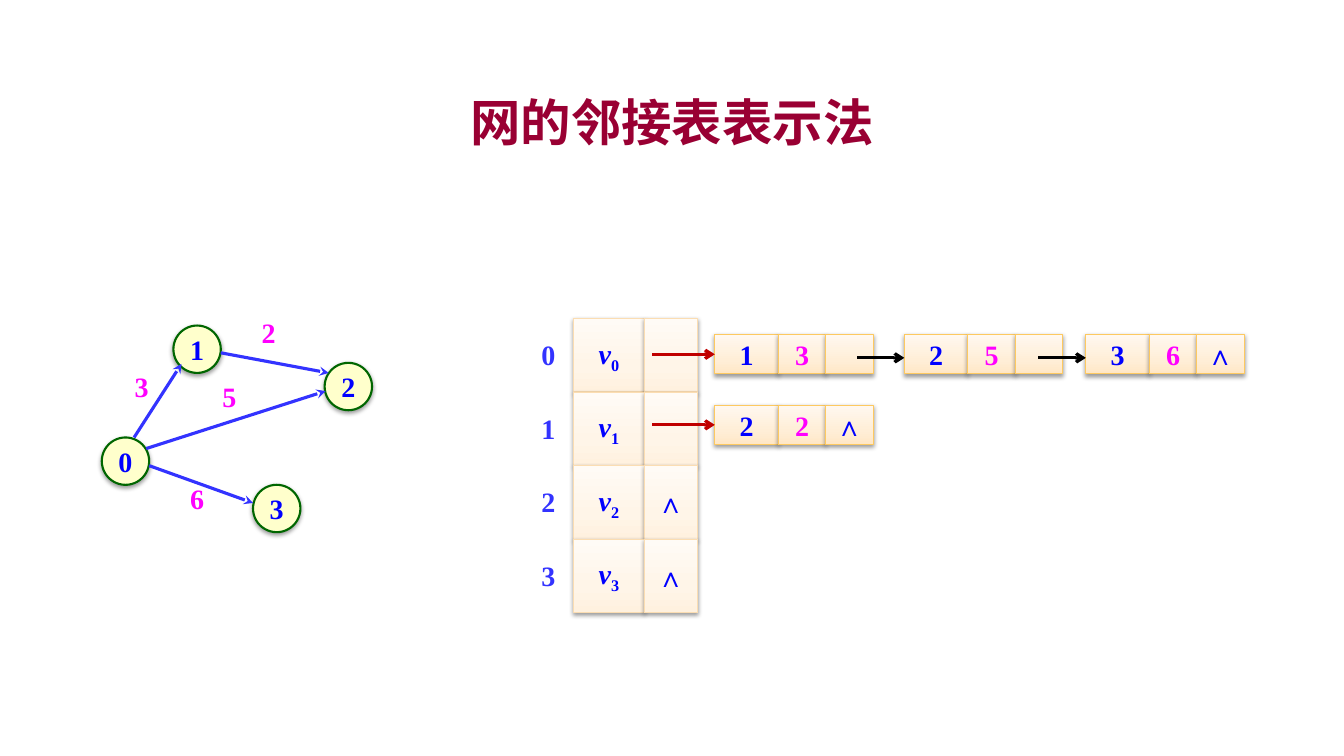
import lxml.etree
import pptx
import pptx.dml.color
import pptx.enum.shapes
import pptx.enum.text
import pptx.oxml
import pptx.oxml.ns
import pptx.util

SLIDE_SIZE = (13.33, 7.5)
TITLE = "网的邻接表表示法"
TITLE_BOX = (1, 0.92, 11.33, 0.91)
TITLE_FONT, BODY_FONT = "Noto Sans CJK SC", "Times New Roman"
NIL = "∧"

# Graph: node corners, then edges as (start, end, weight, weight corner)
NODES = {"1": (1.72, 3.23), "2": (3.22, 3.6), "0": (1.01, 4.34), "3": (2.51, 4.81)}
EDGES = [
    ((1.33, 4.34), (1.8, 3.61), "3", (1.17, 3.67)),
    ((1.48, 4.62), (2.51, 4.99), "6", (1.72, 4.78)),
    ((1.45, 4.45), (3.23, 3.88), "5", (2.04, 3.76)),
    ((2.19, 3.5), (3.26, 3.7), "2", (2.43, 3.13)),
]
NODE_SIZE = 0.47

# Adjacency list: each vertex with its chain of (neighbour, weight)
ADJACENCY = [
    ("0", [("1", "3"), ("2", "5"), ("3", "6")]),
    ("1", [("2", "2")]),
    ("2", []),
    ("3", []),
]
INDEX_LEFT, INDEX_WIDTH, INDEX_DROP = 5.22, 0.44, 0.19
HEAD_LEFT, HEAD_TOP, HEAD_ROW = 5.69, 3.16, 0.73
HEAD_COLUMNS = (0.7, 0.53)
CHAIN_LEFTS = (7.09, 8.97, 10.77)
CHAIN_TOP, CHAIN_ROW, CHAIN_HEIGHT = 3.32, 0.7, 0.39
CHAIN_COLUMNS = (0.63, 0.47, 0.47)
HEAD_ARROW_LEFT, LINK_LENGTH, LINK_DROP = 6.47, 0.47, 0.23

BLUE, INDIGO, MAGENTA = "0000FF", "3333FF", "FF00FF"
HEAD_STYLE = (("FFF1DF", "FFF5E8", "FFFBF6"), "FBDDB2", 0.75)
CHAIN_STYLE = (("FFE7C6", "FFEED7", "FFF8F0"), "FDC960", 0.75)
NODE_STYLE = (("FFFFCC",), "006600", 1.5)
GRADIENT_STOPS = (0, 0.35, 1)

RECTANGLE = pptx.enum.shapes.MSO_SHAPE.RECTANGLE
OVAL = pptx.enum.shapes.MSO_SHAPE.OVAL
qn = pptx.oxml.ns.qn


def rgb(color):
    return pptx.dml.color.RGBColor.from_string(color)


def inches(values):
    return [pptx.util.Inches(value) for value in values]


def write(frame, runs, color, font=BODY_FONT, size=20):
    """Fill the frame with one centred line; runs are (text, italic, baseline)."""
    paragraph = frame.paragraphs[0]
    paragraph.alignment = pptx.enum.text.PP_ALIGN.CENTER
    for text, italic, baseline in runs:
        run = paragraph.add_run()
        run.text = text
        formats = {"name": font, "size": pptx.util.Pt(size), "bold": True, "italic": italic}
        for key, value in formats.items():
            setattr(run.font, key, value)
        run.font.color.rgb = rgb(color)
        if baseline:
            run.font._element.set("baseline", str(baseline))
    return paragraph


def plain(text):
    return [(text, False, 0)]


def add_label(slide, box, text, color):
    frame = slide.shapes.add_textbox(*inches(box)).text_frame
    margins = ("margin_left", "margin_top", "margin_right", "margin_bottom")
    for key, value in {**dict.fromkeys(margins, 0), "word_wrap": True}.items():
        setattr(frame, key, value)
    write(frame, plain(text), color)


def paint(fill, colors):
    if len(colors) == 1:
        fill.solid()
        fill.fore_color.rgb = rgb(colors[0])
        return
    fill.gradient()
    fill.gradient_angle = 90
    stop_list = fill._fill._gradFill.find(qn("a:gsLst"))
    lxml.etree.SubElement(stop_list, qn("a:gs"), pos="100000").append(
        pptx.oxml.parse_xml(f'<a:srgbClr {pptx.oxml.ns.nsdecls("a")} val="{colors[-1]}"/>'))
    for stop, color, position in zip(fill.gradient_stops, colors, GRADIENT_STOPS):
        stop.color.rgb = rgb(color)
        stop.position = position


def add_cell(slide, kind, box, style, runs, color=BLUE):
    shape = slide.shapes.add_shape(kind, *inches(box))
    colors, outline, weight = style
    paint(shape.fill, colors)
    shape.line.color.rgb = rgb(outline)
    shape.line.width = pptx.util.Pt(weight)
    shape.shadow.inherit = False
    effects = shape._element.spPr.find(qn("a:effectLst"))
    shadow = lxml.etree.SubElement(
        effects, qn("a:outerShdw"), blurRad="40000", dist="20000", dir="5400000", rotWithShape="0")
    black = lxml.etree.SubElement(shadow, qn("a:srgbClr"), val="000000")
    lxml.etree.SubElement(black, qn("a:alpha"), val="38000")
    frame = shape.text_frame
    frame.word_wrap = False
    frame.vertical_anchor = pptx.enum.text.MSO_ANCHOR.MIDDLE
    write(frame, runs, color)
    return shape


def add_arrow(slide, start, end, color, tip):
    arrow = slide.shapes.add_connector(
        pptx.enum.shapes.MSO_CONNECTOR.STRAIGHT, *inches(start + end))
    arrow.line.color.rgb = rgb(color)
    arrow.line.width = pptx.util.Pt(2.25)
    lxml.etree.SubElement(arrow.line._get_or_add_ln(), qn("a:tailEnd"), type=tip)
    lxml.etree.SubElement(arrow._element.spPr, qn("a:effectLst"))
    return arrow


def add_title(slide):
    title = slide.shapes.title
    title.left, title.top, title.width, title.height = inches(TITLE_BOX)
    formats = {
        "word_wrap": True,
        "auto_size": pptx.enum.text.MSO_AUTO_SIZE.NONE,
        "vertical_anchor": pptx.enum.text.MSO_ANCHOR.TOP,
    }
    for key, value in formats.items():
        setattr(title.text_frame, key, value)
    paragraph = write(title.text_frame, plain(TITLE), "990033", TITLE_FONT, 36)
    paragraph.line_spacing = 0.9
    lxml.etree.SubElement(
        paragraph.runs[0].font._element, qn("a:ea"), typeface=TITLE_FONT)


def add_graph(slide):
    for name, corner in NODES.items():
        add_cell(slide, OVAL, corner + (NODE_SIZE, NODE_SIZE), NODE_STYLE, plain(name))
    for start, end, weight, corner in EDGES:
        add_arrow(slide, start, end, INDIGO, "stealth")
        add_label(slide, corner + (NODE_SIZE, 0.39), weight, MAGENTA)


def add_heads(slide):
    for row, (vertex, chain) in enumerate(ADJACENCY):
        top, left = HEAD_TOP + row * HEAD_ROW, HEAD_LEFT
        pointer = plain("" if chain else NIL)
        for width, runs in zip(HEAD_COLUMNS, ([("v", True, 0), (vertex, False, -25000)], pointer)):
            add_cell(slide, RECTANGLE, (left, top, width, HEAD_ROW), HEAD_STYLE, runs)
            left += width
        add_label(slide, (INDEX_LEFT, top + INDEX_DROP, INDEX_WIDTH, 0.35), vertex, INDIGO)


def add_chains(slide):
    for row, (_, chain) in enumerate(ADJACENCY):
        top = CHAIN_TOP + row * CHAIN_ROW
        for place, (neighbour, weight) in enumerate(chain):
            left = node_left = CHAIN_LEFTS[place]
            pointer = NIL if place == len(chain) - 1 else ""
            cells = []
            for width, text, color in zip(
                    CHAIN_COLUMNS, (neighbour, weight, pointer), (BLUE, MAGENTA, BLUE)):
                cells.append(add_cell(slide, RECTANGLE, (left, top, width, CHAIN_HEIGHT),
                                      CHAIN_STYLE, plain(text), color))
                left += width
            if place:
                y = top + LINK_DROP
                add_arrow(slide, (node_left - LINK_LENGTH, y), (node_left, y), "000000", "arrow")
            else:
                y = top + CHAIN_HEIGHT / 2
                arrow = add_arrow(slide, (HEAD_ARROW_LEFT, y), (node_left, y), "C00000", "arrow")
                arrow.end_connect(cells[0], 1)


def main():
    deck = pptx.Presentation()
    deck.slide_width, deck.slide_height = inches(SLIDE_SIZE)
    slide = deck.slides.add_slide(deck.slide_layouts[5])
    add_heads(slide)
    add_graph(slide)
    add_chains(slide)
    add_title(slide)
    deck.save("out.pptx")


if __name__ == "__main__":
    main()
